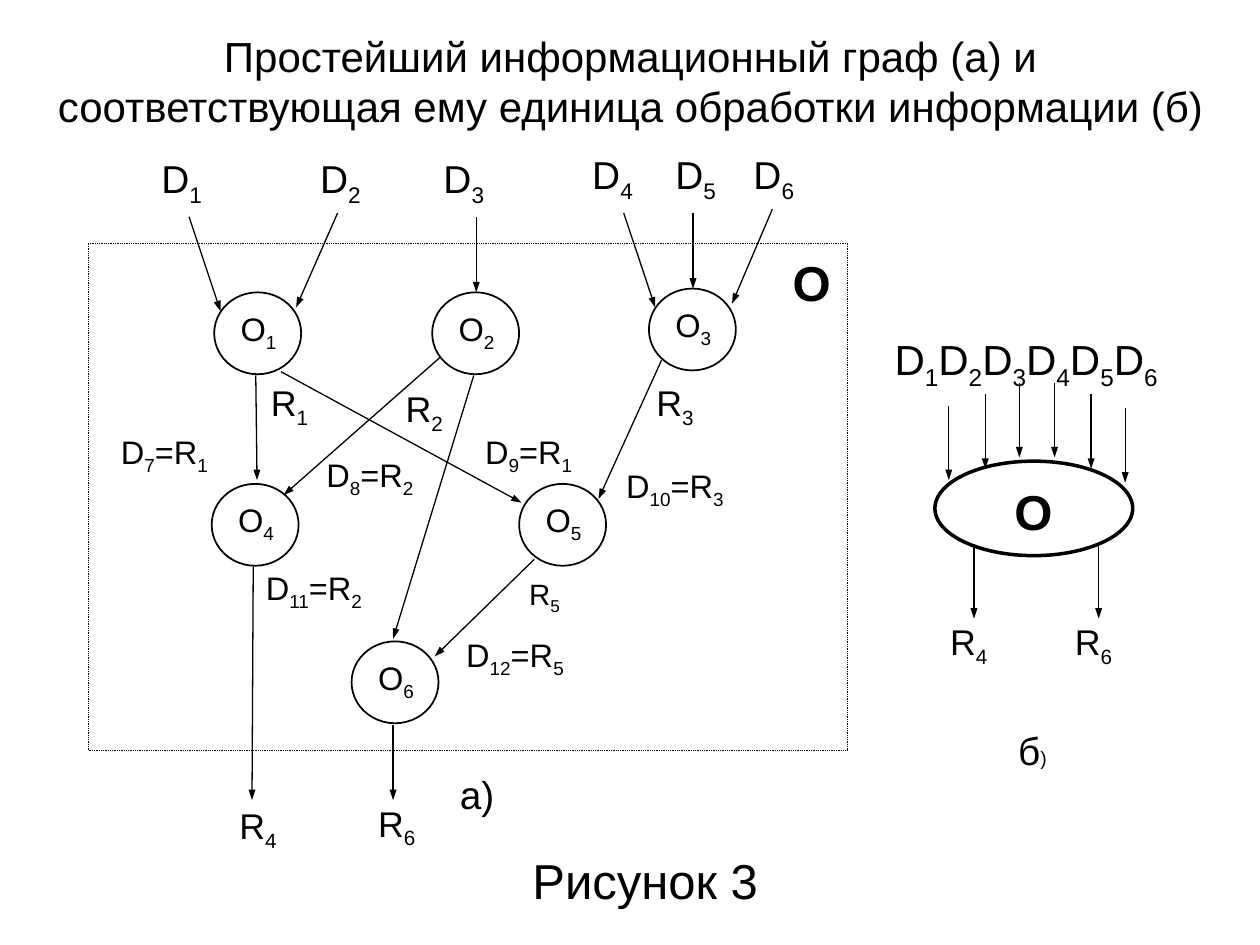
from itertools import groupby
from lxml.etree import SubElement
from pptx import Presentation
from pptx.dml.color import RGBColor
from pptx.enum.dml import MSO_LINE
from pptx.enum.shapes import MSO_CONNECTOR, MSO_SHAPE
from pptx.enum.text import MSO_ANCHOR, MSO_AUTO_SIZE, PP_ALIGN
from pptx.oxml.ns import qn
from pptx.util import Emu, Pt

SCALE = 9144  # 100 px to the inch
COLORS = {"ink": "000000"}
INK = RGBColor.from_string(COLORS["ink"])
NODE = (69, 65)

# Operation nodes: number, left, top
NODES = [(1, 170, 232), (2, 343, 232), (3, 515, 229),
         (4, 168, 384), (5, 412, 384), (6, 279, 509)]

# Graph arrows: from x, y, to x, y
EDGES = [
    (150, 172, 175, 247), (268, 169, 235, 244), (378, 172, 378, 232),
    (495, 169, 520, 244), (550, 169, 550, 229), (613, 166, 581, 241),
    (203, 298, 204, 381), (223, 295, 414, 399), (376, 298, 312, 507),
    (350, 283, 225, 393), (525, 286, 475, 396), (424, 444, 345, 521),
    (201, 450, 200, 635), (312, 575, 312, 635),
]

# Unit arrows: x, top
UNIT = [(753, 322), (782, 313), (809, 304), (837, 304), (866, 313),
        (893, 324), (773, 432), (872, 432)]

# Labels by font size: text, left, top, width
LABELS = {
    16.8: [("R5", 419, 456, 59)],
    18.6: [("D7=R1", 95, 342, 98), ("D8=R2", 258, 360, 98),
           ("D9=R1", 384, 342, 98), ("D10=R3", 496, 369, 127),
           ("D11=R2", 210, 450, 110), ("D12=R5", 369, 503, 138)],
    20.4: [("R1", 214, 301, 59), ("R2", 321, 306, 60), ("R3", 520, 301, 60),
           ("R4", 189, 637, 59), ("R6", 299, 635, 59),
           ("R4", 753, 491, 68), ("R6", 852, 491, 68)],
    22.2: [("D1", 127, 122, 59), ("D2", 253, 122, 59), ("D3", 351, 122, 59),
           ("D4", 469, 119, 59), ("D5", 535, 119, 59), ("D6", 597, 119, 59),
           ("а)", 364, 611, 66)],
    24: [("D1D2D3D4D5D6", 709, 264, 236)],
}
HIGH = {16.8: 38, 18.6: 39, 20.4: 41, 22.2: 47, 24: 51}


def px(*vals):
    return [Emu(v * SCALE) for v in vals]


def write(para, text, size=24, bold=None, sub=True):
    """Add text to a paragraph; with sub, digits become subscripts."""
    parts = groupby(text, str.isdigit) if sub else [(False, text)]
    for low, chars in parts:
        run = para.add_run()
        run.text = "".join(chars)
        font = run.font
        font.name, font.size, font.bold = "Arial", Pt(size), bold
        font.color.rgb = INK
        if low:
            run._r.get_or_add_rPr().set("baseline", "-25000")


def label(slide, text, x, y, w, h, align=PP_ALIGN.LEFT, **style):
    frame = slide.shapes.add_textbox(*px(x, y, w, h)).text_frame
    frame.word_wrap = True
    frame.margin_left = frame.margin_right = Emu(SCALE)
    frame.margin_top = frame.margin_bottom = Emu(SCALE)
    para = frame.paragraphs[0]
    para.alignment = align
    write(para, text, **style)
    return para


def outline(slide, kind, x, y, w, h, width=1, dash=None):
    shape = slide.shapes.add_shape(kind, *px(x, y, w, h))
    shape.shadow.inherit = False
    shape.fill.background()
    shape.line.color.rgb = INK
    shape.line.width = Pt(width)
    if dash:
        shape.line.dash_style = dash


def arrow(slide, *ends):
    link = slide.shapes.add_connector(MSO_CONNECTOR.STRAIGHT, *px(*ends))
    link.line.color.rgb = INK
    link.line.width = Pt(0.75)
    SubElement(link.line._get_or_add_ln(), qn("a:tailEnd"),
               type="triangle", w="sm", len="med")
    SubElement(link._element.spPr, qn("a:effectLst"))


def head(slide, *lines):
    title = slide.shapes.title
    title.left, title.top, title.width, title.height = px(20, 17, 961, 94)
    frame = title.text_frame
    frame.auto_size = MSO_AUTO_SIZE.NONE
    frame.vertical_anchor = MSO_ANCHOR.MIDDLE
    para = frame.paragraphs[0]
    para.alignment = PP_ALIGN.CENTER
    for num, line in enumerate(lines):
        if num:
            para.add_line_break()
        write(para, line, size=24, sub=False)
    for gap in para._p.findall(qn("a:br")):
        SubElement(gap, qn("a:rPr"), sz="2400")


def main():
    prs = Presentation()
    prs.slide_width, prs.slide_height = px(1000, 750)
    slide = prs.slides.add_slide(prs.slide_layouts[5])

    # Title and caption
    head(slide, "Простейший информационный граф (а) и",
         "соответствующая ему единица обработки информации (б)")
    label(slide, "Рисунок 3", 59, 674, 906, 55,
          align=PP_ALIGN.CENTER, size=28, sub=False)

    # Information graph
    outline(slide, MSO_SHAPE.RECTANGLE, 70, 193, 603, 403,
            width=0.5, dash=MSO_LINE.ROUND_DOT)
    for num, x, y in NODES:
        outline(slide, MSO_SHAPE.OVAL, x, y, *NODE)
        label(slide, f"O{num}", x + 20, y + 12, 61, 39, size=18.6)
    for edge in EDGES:
        arrow(slide, *edge)

    # Processing unit
    outline(slide, MSO_SHAPE.OVAL, 742, 366, 157, 75, width=2)
    for x, y in UNIT:
        arrow(slide, x, y, x, y + 59)

    # Labels
    for size, rows in LABELS.items():
        for text, x, y, w in rows:
            label(slide, text, x, y, w, HIGH[size], size=size)
    for x, y, w in [(628, 199, 45), (804, 381, 67)]:
        label(slide, "O", x, y, w, 51, size=28, bold=True)
    mark = label(slide, "б", 807, 576, 66, 41, size=22.2)
    write(mark, ")", size=11.1)

    prs.save("out.pptx")


if __name__ == "__main__":
    main()
